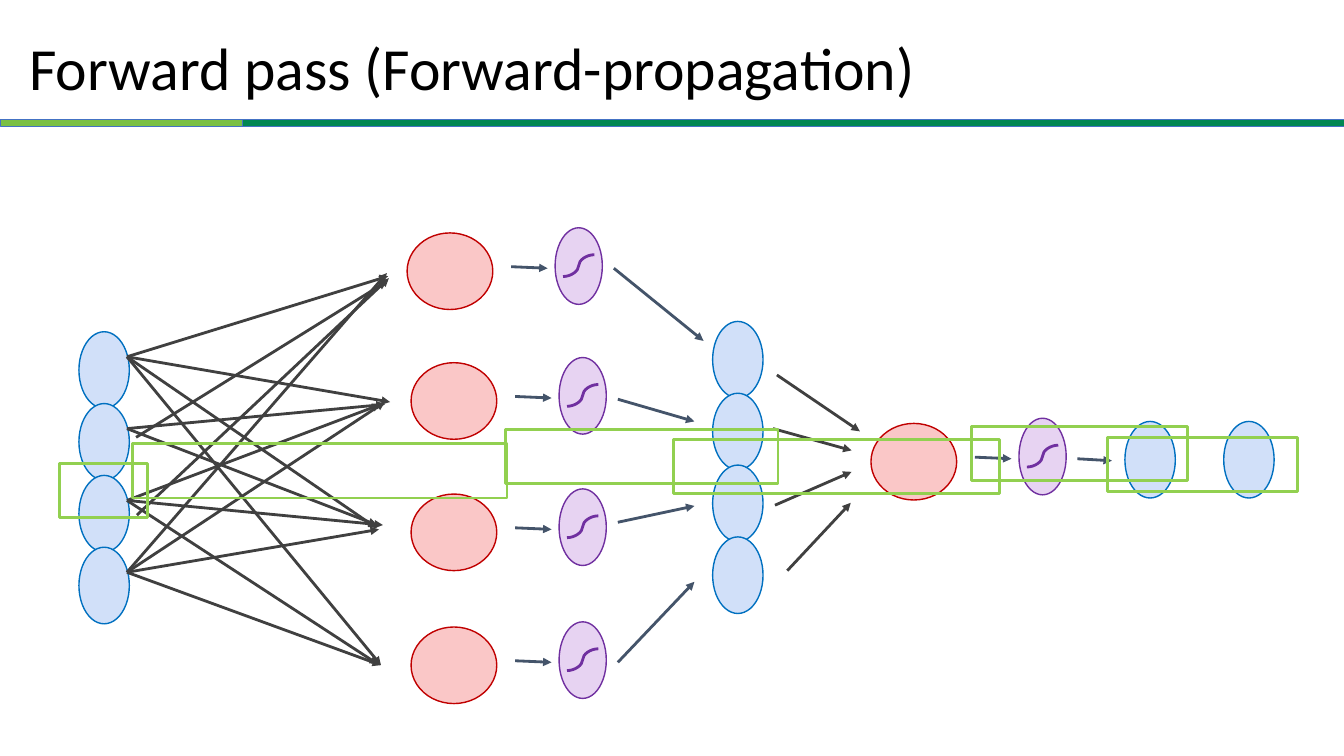
from dataclasses import dataclass
from typing import NamedTuple

from lxml import etree
from pptx import Presentation
from pptx import util as u
from pptx.dml.color import RGBColor
from pptx.enum import shapes, text
from pptx.oxml import ns


@dataclass(frozen=True)
class Theme:
    font: str = "Calibri"
    title: float = 42.7
    thin: float = 0.5
    edge: float = 1
    bold: float = 2
    black: str = "000000"
    lime: str = "7AC043"
    green: str = "018752"
    trim: str = "4472C4"
    weight: str = "404040"
    flow: str = "44546A"
    curve: str = "7030A0"
    frame: str = "92D050"


@dataclass(frozen=True)
class Node:
    width: float
    fill: str
    line: str
    height: float = 1.93


class Point(NamedTuple):
    x: float
    y: float


class Arrow(NamedTuple):
    start: Point
    end: Point


class Frame(NamedTuple):
    left: float
    top: float
    width: float


THEME = Theme()
VALUE = Node(1.27, "D1E0F9", "0070C0")
SUM = Node(2.16, "FAC7C7", "C00000")
ACT = Node(1.19, "E7D3F2", "7030A0")

STEP = 1.81
ROWS = range(4)
INPUTS = [Point(1.99, 8.36 + STEP * row) for row in ROWS]
HIDDEN = [Point(17.96, 8.1 + STEP * row) for row in ROWS]
OUTPUTS = [Point(28.35, 10.62), Point(30.84, 10.62)]
SUMS = [Point(10.26, 5.87), Point(10.36, 9.14), Point(10.36, 12.45),
        Point(10.36, 15.8), Point(21.95, 10.67)]

PORTS = [Point(3.2, 8.99 + STEP * row) for row in ROWS]
WEIGHTS = [
    Arrow(PORTS[0], Point(9.78, 6.96)),
    Arrow(Point(3.43, 11.02), Point(9.75, 7.09)),
    Arrow(Point(3.45, 12.98), Point(9.8, 7.01)),
    Arrow(PORTS[3], Point(9.75, 6.88)),
    Arrow(PORTS[0], Point(9.83, 10.13)),
    Arrow(PORTS[1], Point(9.7, 10.19)),
    Arrow(PORTS[2], Point(9.6, 10.19)),
    Arrow(PORTS[3], Point(9.7, 10.13)),
    Arrow(PORTS[2], Point(9.65, 13.23)),
    Arrow(PORTS[1], Point(9.5, 13.23)),
    Arrow(PORTS[0], Point(9.5, 13.31)),
    Arrow(PORTS[2], Point(9.53, 16.74)),
    Arrow(PORTS[0], Point(9.6, 16.76)),
    Arrow(PORTS[3], Point(9.55, 13.34)),
    Arrow(PORTS[3], Point(9.6, 16.76)),
    Arrow(Point(19.58, 9.45), Point(21.67, 10.87)),
    Arrow(Point(19.48, 10.8), Point(21.46, 11.35)),
    Arrow(Point(19.53, 12.73), Point(21.46, 11.89)),
    Arrow(Point(19.84, 14.38), Point(21.44, 12.67)),
]
FLOWS = [
    Arrow(Point(15.47, 6.76), Point(17.73, 8.59)),
    Arrow(Point(15.57, 10.06), Point(17.5, 10.62)),
    Arrow(Point(15.57, 13.16), Point(17.5, 12.75)),
    Arrow(Point(15.57, 16.69), Point(17.5, 14.66)),
    Arrow(Point(27.15, 11.56), Point(28.02, 11.61)),
]
FRAMES = [Frame(1.5, 11.68, 2.21), Frame(3.33, 11.18, 9.45),
          Frame(12.75, 10.82, 6.86), Frame(16.97, 11.07, 8.23),
          Frame(24.49, 10.74, 5.44), Frame(27.91, 11.02, 4.8)]


def shape(slide, kind, at: Point, width: float, height: float,
          line: str, points: float, fill: str | None = None) -> None:
    item = slide.shapes.add_shape(kind, u.Cm(at.x), u.Cm(at.y),
                                  u.Cm(width), u.Cm(height))
    item.shadow.inherit = False
    if fill:
        item.fill.solid()
        item.fill.fore_color.rgb = RGBColor.from_string(fill)
    else:
        item.fill.background()
    item.line.color.rgb = RGBColor.from_string(line)
    item.line.width = u.Pt(points)


def node(slide, at: Point, kind: Node) -> None:
    shape(slide, shapes.MSO_SHAPE.OVAL, at, kind.width, kind.height,
          kind.line, THEME.edge, kind.fill)


def link(slide, arrow: Arrow, color: str, curved: bool = False) -> None:
    """Draw a straight arrow, or a plain S-curve."""
    kind = shapes.MSO_CONNECTOR.CURVE if curved else shapes.MSO_CONNECTOR.STRAIGHT
    item = slide.shapes.add_connector(
        kind, *(u.Cm(length) for point in arrow for length in point))
    item.line.color.rgb = RGBColor.from_string(color)
    item.line.width = u.Pt(THEME.bold)
    if not curved:
        etree.SubElement(item.line._get_or_add_ln(), ns.qn("a:tailEnd"),
                         type="triangle")
    etree.SubElement(item._element.spPr, ns.qn("a:effectLst"))


def unit(slide, at: Point) -> None:
    """Draw a sum, its arrow and its sigmoid activation."""
    def shift(x: float, y: float) -> Point:
        return Point(at.x + x, at.y + y)

    node(slide, at, SUM)
    link(slide, Arrow(shift(2.62, 0.85), shift(3.54, 0.89)), THEME.flow)
    node(slide, shift(3.73, -0.13), ACT)
    link(slide, Arrow(shift(3.93, 1.1), shift(4.72, 0.55)), THEME.curve, True)


def head(slide) -> None:
    rect = shapes.MSO_SHAPE.RECTANGLE
    for left, width, fill in ((0, 6.1, THEME.lime), (6.1, 27.77, THEME.green)):
        shape(slide, rect, Point(left, 3), width, 0.18,
              THEME.trim, THEME.thin, fill)
    title = slide.shapes.title
    title.left, title.top = u.Cm(0.74), u.Cm(0.61)
    title.width, title.height = u.Cm(34.06), u.Cm(2.16)
    frame = title.text_frame
    frame.text = "Forward pass (Forward-propagation)"
    frame.margin_left = frame.margin_right = 0
    frame.margin_top = frame.margin_bottom = 0
    frame.auto_size = text.MSO_AUTO_SIZE.NONE
    frame.vertical_anchor = text.MSO_ANCHOR.MIDDLE
    line = frame.paragraphs[0]
    line.alignment = text.PP_ALIGN.LEFT
    font = line.runs[0].font
    font.name, font.size = THEME.font, u.Pt(THEME.title)
    font.color.rgb = RGBColor.from_string(THEME.black)


def main() -> None:
    deck = Presentation()
    deck.slide_width, deck.slide_height = u.Cm(33.87), u.Cm(19.05)
    slide = deck.slides.add_slide(deck.slide_layouts[5])
    head(slide)
    for at in HIDDEN + INPUTS + OUTPUTS:
        node(slide, at, VALUE)
    for at in SUMS:
        unit(slide, at)
    for arrow in WEIGHTS:
        link(slide, arrow, THEME.weight)
    for arrow in FLOWS:
        link(slide, arrow, THEME.flow)
    for box in FRAMES:
        shape(slide, shapes.MSO_SHAPE.RECTANGLE, Point(box.left, box.top),
              box.width, 1.37, THEME.frame, THEME.bold)
    deck.save("out.pptx")


if __name__ == "__main__":
    main()
